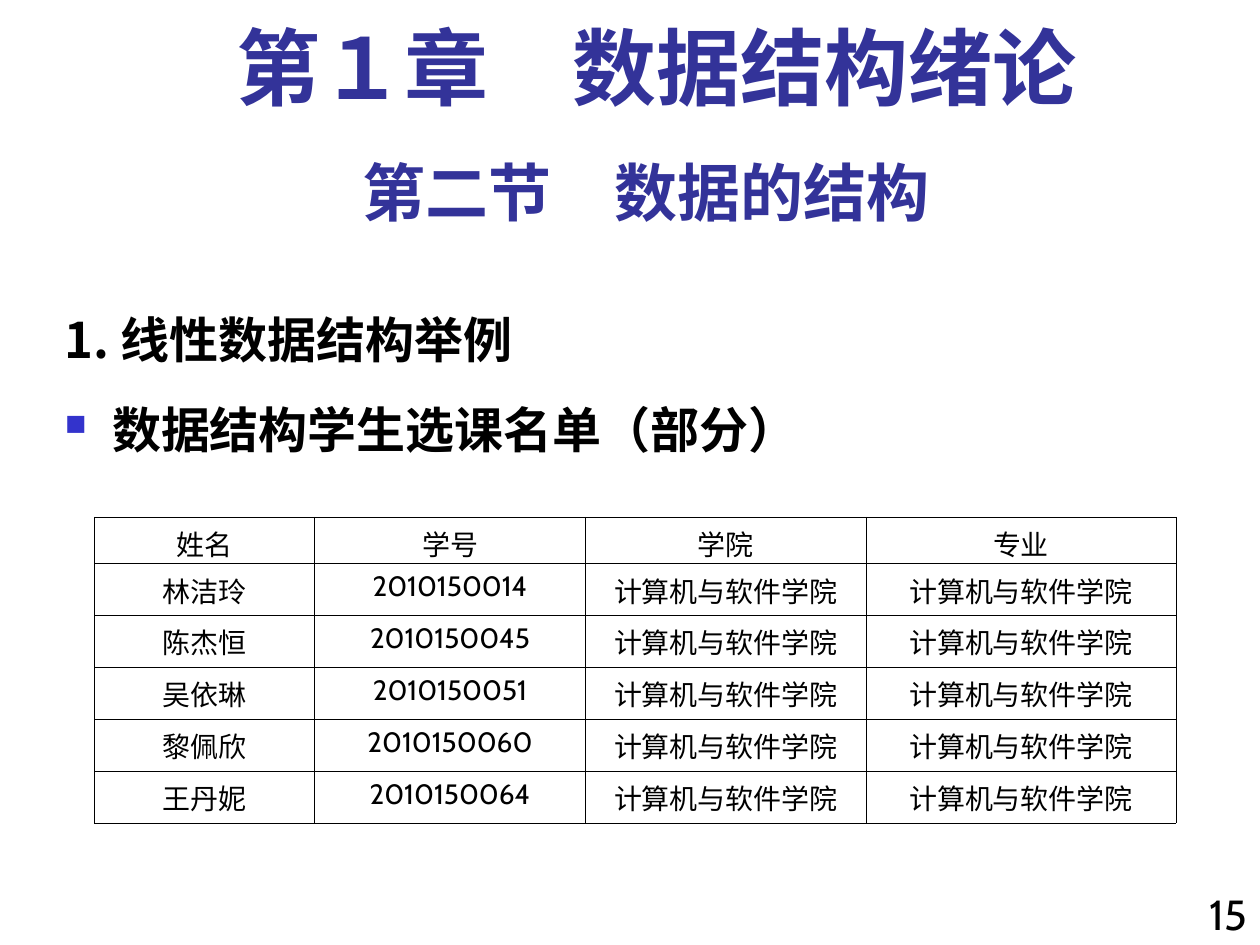
from dataclasses import dataclass
from typing import Optional

from lxml.etree import SubElement
from pptx import Presentation
from pptx.dml.color import RGBColor
from pptx.enum.text import PP_ALIGN as Align
from pptx.oxml.ns import qn
from pptx.util import Pt

CJK = "Noto Sans CJK SC"
CABIN = "Cabin"
TIMES = "Times New Roman"
BLACK, NAVY, BLUE = "000000", "333399", "3333CC"
HANGING = 27


@dataclass
class TextStyle:
    size: float
    latin: str
    color: str = BLACK
    bold: bool = False
    align: Align = Align.CENTER
    hanging: float = 0
    space_before: float = 0
    line_spacing: Optional[float] = None
    bullet: Optional[str] = None


@dataclass
class TextBlock:
    left: float
    top: float
    width: float
    height: float
    lines: list[tuple[str, TextStyle]]


def rgb(color: str) -> RGBColor:
    return RGBColor.from_string(color)


def write(paragraph, text: str, style: TextStyle) -> None:
    paragraph.text = text
    paragraph.alignment = style.align
    if style.space_before:
        paragraph.space_before = Pt(style.space_before)
    if style.line_spacing:
        paragraph.line_spacing = style.line_spacing
    properties = paragraph._p.get_or_add_pPr()
    if style.hanging:
        properties.set("marL", str(Pt(style.hanging)))
        properties.set("indent", str(-Pt(style.hanging)))
    if style.bullet:
        bullet_color = SubElement(properties, qn("a:buClr"))
        SubElement(bullet_color, qn("a:srgbClr"), val=BLUE)
        SubElement(properties, qn("a:buSzPct"), val="60000")
        SubElement(properties, qn("a:buChar"), char=style.bullet)
    font = paragraph.font
    font.size = Pt(style.size)
    font.bold = style.bold
    font.color.rgb = rgb(style.color)
    font.name = style.latin
    SubElement(properties.find(qn("a:defRPr")), qn("a:ea"), typeface=CJK)


def add_text(slide, block: TextBlock) -> None:
    box = slide.shapes.add_textbox(
        Pt(block.left), Pt(block.top), Pt(block.width), Pt(block.height))
    frame = box.text_frame
    frame.word_wrap = True
    for index, (text, style) in enumerate(block.lines):
        write(frame.add_paragraph() if index else frame.paragraphs[0], text, style)


def outline_cell(cell) -> None:
    properties = cell._tc.get_or_add_tcPr()
    for side in ("a:lnL", "a:lnR", "a:lnT", "a:lnB"):
        line = SubElement(properties, qn(side), w=str(Pt(0.45)))
        fill = SubElement(line, qn("a:solidFill"))
        SubElement(fill, qn("a:srgbClr"), val=BLACK)
    cell.fill.background()


def add_roster(slide, rows: list[tuple[str, ...]]) -> None:
    widths = (125.8, 154.8, 160.3, 177.1)
    heights = [26.4] + [29.7] * (len(rows) - 1)
    table = slide.shapes.add_table(
        len(rows), len(widths), Pt(54), Pt(295.5), Pt(sum(widths)), Pt(sum(heights))).table
    for column, width in zip(table.columns, widths):
        column.width = Pt(width)
    for row, height in zip(table.rows, heights):
        row.height = Pt(height)
    for r, values in enumerate(rows):
        for c, value in enumerate(values):
            cell = table.cell(r, c)
            latin = TIMES if r == 0 or c == 2 else CABIN
            write(cell.text_frame.paragraphs[0], value,
                  TextStyle(16, latin, hanging=HANGING))
            outline_cell(cell)


CHAPTER = TextStyle(48, TIMES, NAVY, True, hanging=HANGING, line_spacing=0.9)
SECTION = TextStyle(36, CABIN, NAVY, True)
TOPIC = TextStyle(28, CJK, bold=True, align=Align.LEFT, hanging=HANGING)
EXAMPLE = TextStyle(28, CJK, bold=True, align=Align.LEFT, hanging=HANGING,
                    space_before=17.5, bullet="■")
PAGE_NUMBER = TextStyle(24, CABIN, align=Align.RIGHT)

BLOCKS = [
    TextBlock(30, 173.5, 690, 235.5, [("1. 线性数据结构举例", TOPIC),
                                      ("数据结构学生选课名单（部分）", EXAMPLE)]),
    TextBlock(672, 504, 48, 42.5, [("15", PAGE_NUMBER)]),
    TextBlock(36, 84, 666, 50.5, [("第二节　数据的结构", SECTION)]),
    TextBlock(48, 12, 654, 60, [("第１章　数据结构绪论", CHAPTER)]),
]

STUDENTS = [
    ("林洁玲", "2010150014"),
    ("陈杰恒", "2010150045"),
    ("吴依琳", "2010150051"),
    ("黎佩欣", "2010150060"),
    ("王丹妮", "2010150064"),
]
COLLEGE = "计算机与软件学院"


def main() -> None:
    deck = Presentation()
    deck.slide_width, deck.slide_height = Pt(720), Pt(540)
    slide = deck.slides.add_slide(deck.slide_layouts[6])
    for block in BLOCKS:
        add_text(slide, block)
    add_roster(slide, [("姓名", "学号", "学院", "专业")]
               + [(name, number, COLLEGE, COLLEGE) for name, number in STUDENTS])
    deck.save("out.pptx")


if __name__ == "__main__":
    main()
